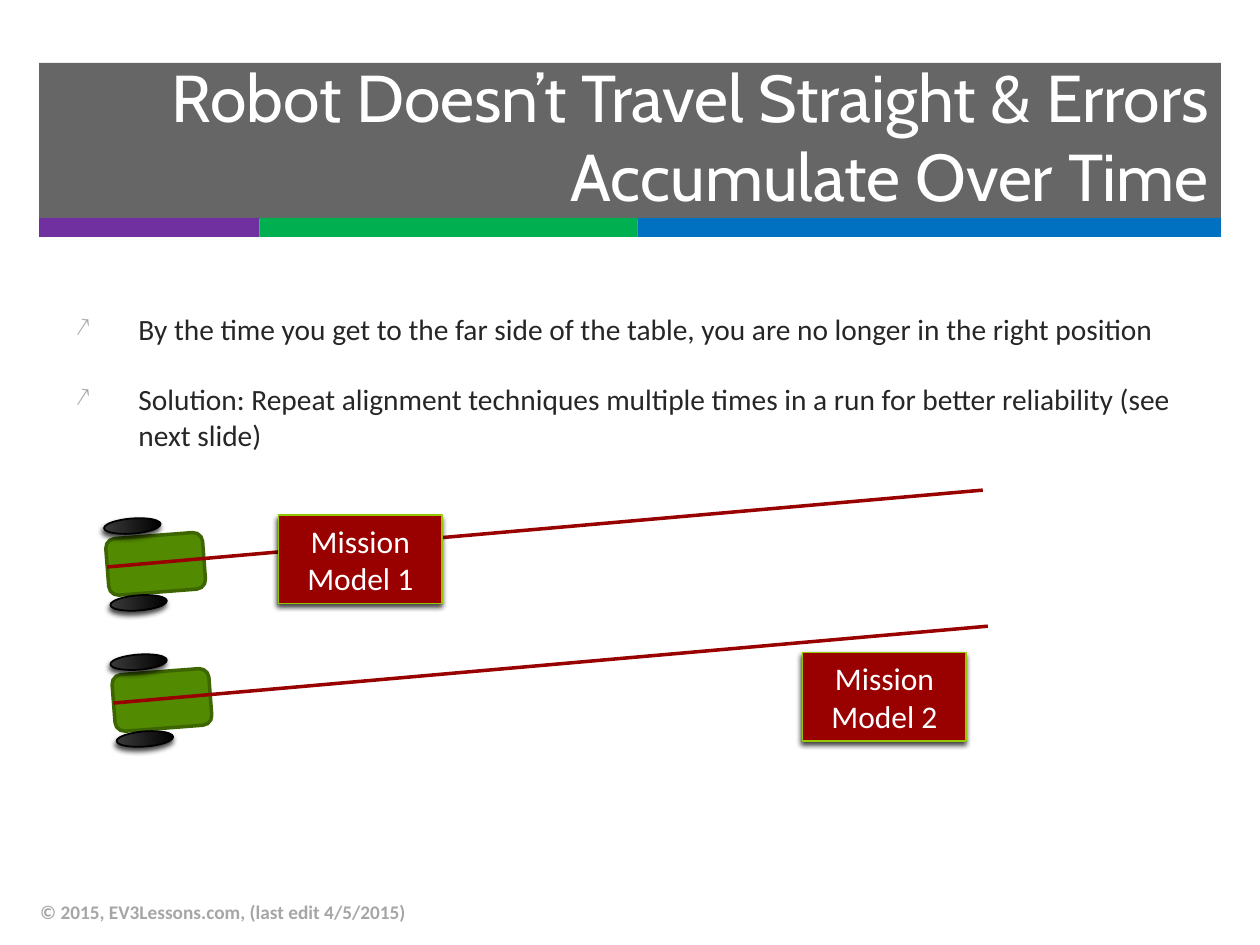
from dataclasses import dataclass

from lxml import etree
from pptx import Presentation
from pptx import util as u
from pptx.dml.color import RGBColor
from pptx.enum import shapes, text
from pptx.oxml import parse_xml
from pptx.oxml.ns import nsdecls, qn

WHITE = RGBColor(0xFF, 0xFF, 0xFF)
BLACK = RGBColor(0x00, 0x00, 0x00)
CHARCOAL = RGBColor(0x26, 0x26, 0x26)
WHEEL_GRAY = RGBColor(0x3B, 0x3B, 0x3B)
LIGHT_GRAY = RGBColor(0xA6, 0xA6, 0xA6)
PURPLE = RGBColor(0x70, 0x30, 0xA0)
GREEN = RGBColor(0x00, 0xB0, 0x50)
BLUE = RGBColor(0x00, 0x70, 0xC0)
RED = RGBColor(0x99, 0x00, 0x00)
LIME = RGBColor(0x96, 0xC8, 0x00)
ROBOT_GREEN = RGBColor(0x52, 0x8A, 0x02)
ROBOT_EDGE = RGBColor(0x3D, 0x66, 0x01)

SHAPE = shapes.MSO_SHAPE
ALIGN = text.PP_ALIGN
MIDDLE = text.MSO_ANCHOR.MIDDLE
ROBOT_TURN = 85.6


@dataclass
class Area:
    left: float
    top: float
    width: float
    height: float

    def shifted(self, dx: float, dy: float) -> "Area":
        return Area(self.left + dx, self.top + dy, self.width, self.height)

    def lengths(self) -> list:
        return [u.Inches(n) for n in (self.left, self.top, self.width, self.height)]


@dataclass
class Run:
    """One robot's drive: its offset from the first robot, its path and its target."""
    dx: float
    dy: float
    start: tuple
    end: tuple
    model: Area
    label: str


BANDS = [(1.75, PURPLE), (3, GREEN), (4.63, BLUE)]
POINTS = [
    "By the time you get to the far side of the table, you are no longer in the right position",
    "Solution: Repeat alignment techniques multiple times in a run for better reliability "
    "(see next slide)",
]
CHASSIS = Area(1.01, 4.09, 0.45, 0.77)
WHEELS = [Area(0.99, 3.95, 0.12, 0.45), Area(1.04, 4.56, 0.12, 0.45)]
RUNS = [
    Run(0, 0, (0.85, 4.5), (7.8, 3.89), Area(2.21, 4.09, 1.3, 0.7), "Mission Model 1"),
    Run(0.05, 1.08, (0.9, 5.58), (7.84, 4.97), Area(6.37, 5.18, 1.3, 0.7), "Mission Model 2"),
]


def set_all(target, values: dict) -> None:
    for name, value in values.items():
        setattr(target, name, value)


def add_block(parent, kind, area: Area, fill=None, edge=None, edge_width: float = 1):
    """Add a preset shape without shadow; no fill colour leaves the fill to the caller."""
    block = parent.add_shape(kind, *area.lengths())
    block.shadow.inherit = False
    if fill is not None:
        block.fill.solid()
        block.fill.fore_color.rgb = fill
    if edge is None:
        block.line.fill.background()
    else:
        block.line.color.rgb = edge
        block.line.width = u.Pt(edge_width)
    return block


def add_shadow(block) -> None:
    effects = block._element.spPr.find(qn("a:effectLst"))
    effects.append(parse_xml(
        f'<a:outerShdw {nsdecls("a")} blurRad="{u.Pt(3)}" dist="{u.Pt(2)}" '
        f'dir="{110 * 60000}" rotWithShape="0"><a:srgbClr val="{BLACK}">'
        '<a:alpha val="75000"/></a:srgbClr></a:outerShdw>'))


def add_bullet(para) -> None:
    props = para._p.get_or_add_pPr()
    props.set("marL", str(u.Inches(0.5)))
    props.set("indent", str(-u.Inches(0.5)))
    color = etree.SubElement(props, qn("a:buClr"))
    etree.SubElement(color, qn("a:srgbClr"), val=str(LIGHT_GRAY))
    etree.SubElement(props, qn("a:buSzPct"), val="90000")
    etree.SubElement(props, qn("a:buChar"), char="↗")


def write(box, lines: list, size: float, color, font="Calibri", bold=False,
          align=ALIGN.LEFT, anchor=MIDDLE, bulleted=False) -> None:
    frame = box.text_frame
    set_all(frame, {"word_wrap": True, "vertical_anchor": anchor})
    for index, line in enumerate(lines):
        para = frame.add_paragraph() if index else frame.paragraphs[0]
        if bulleted:
            add_bullet(para)
        para.alignment = align
        if index:
            para.space_before = u.Pt(20)
        span = para.add_run()
        span.text = line
        set_all(span.font, {"name": font, "size": u.Pt(size), "bold": bold})
        span.font.color.rgb = color


def draw_header(page) -> None:
    banner = add_block(page.shapes, SHAPE.RECTANGLE, Area(0.31, 0.5, 9.38, 1.24), CHARCOAL)
    tint = banner._element.spPr.find(qn("a:solidFill"))[0]
    etree.SubElement(tint, qn("a:alpha"), val="70000")
    stripe = page.shapes.add_group_shape().shapes
    left = 0.31
    for width, color in BANDS:
        add_block(stripe, SHAPE.RECTANGLE, Area(left, 1.73, width, 0.15), color)
        left += width
    title = page.shapes.add_textbox(*Area(0.5, 0.53, 9.19, 1.09).lengths())
    write(title, ["Robot Doesn’t Travel Straight & Errors Accumulate Over Time"],
          37.8, WHITE, font="Cabin", align=ALIGN.RIGHT)


def draw_robot(page, dx: float, dy: float) -> None:
    robot = page.shapes.add_group_shape().shapes
    chassis = add_block(robot, SHAPE.ROUNDED_RECTANGLE, CHASSIS.shifted(dx, dy),
                        ROBOT_GREEN, ROBOT_EDGE, 2)
    chassis.rotation = ROBOT_TURN
    for area in WHEELS:
        wheel = add_block(robot, SHAPE.OVAL, area.shifted(dx, dy), edge=BLACK)
        wheel.rotation = ROBOT_TURN
        wheel.fill.gradient()
        wheel.fill.gradient_angle = 90
        for stop, (position, color) in zip(wheel.fill.gradient_stops,
                                           [(0, WHEEL_GRAY), (1, BLACK)]):
            stop.position = position
            stop.color.rgb = color
        add_shadow(wheel)


def draw_run(page, run: Run) -> None:
    draw_robot(page, run.dx, run.dy)
    track = page.shapes.add_connector(
        shapes.MSO_CONNECTOR.STRAIGHT, *[u.Inches(n) for n in run.start + run.end])
    track.line.color.rgb = RED
    track.line.width = u.Pt(2)
    etree.SubElement(track._element.spPr, qn("a:effectLst"))
    model = add_block(page.shapes, SHAPE.RECTANGLE, run.model, RED, LIME)
    add_shadow(model)
    write(model, [run.label], 18, WHITE, align=ALIGN.CENTER)


def main() -> None:
    deck = Presentation()
    set_all(deck, {"slide_width": u.Inches(10), "slide_height": u.Inches(7.5)})
    page = deck.slides.add_slide(deck.slide_layouts[6])
    draw_header(page)
    body = page.shapes.add_textbox(*Area(0.5, 2.42, 9.19, 1.29).lengths())
    write(body, POINTS, 16.8, CHARCOAL, anchor=text.MSO_ANCHOR.TOP, bulleted=True)
    footer = page.shapes.add_textbox(*Area(0.22, 7.04, 6.7, 0.4).lengths())
    write(footer, ["© 2015, EV3Lessons.com, (last edit 4/5/2015)"], 11, LIGHT_GRAY, bold=True)
    for run in RUNS:
        draw_run(page, run)
    deck.save("out.pptx")


if __name__ == "__main__":
    main()
